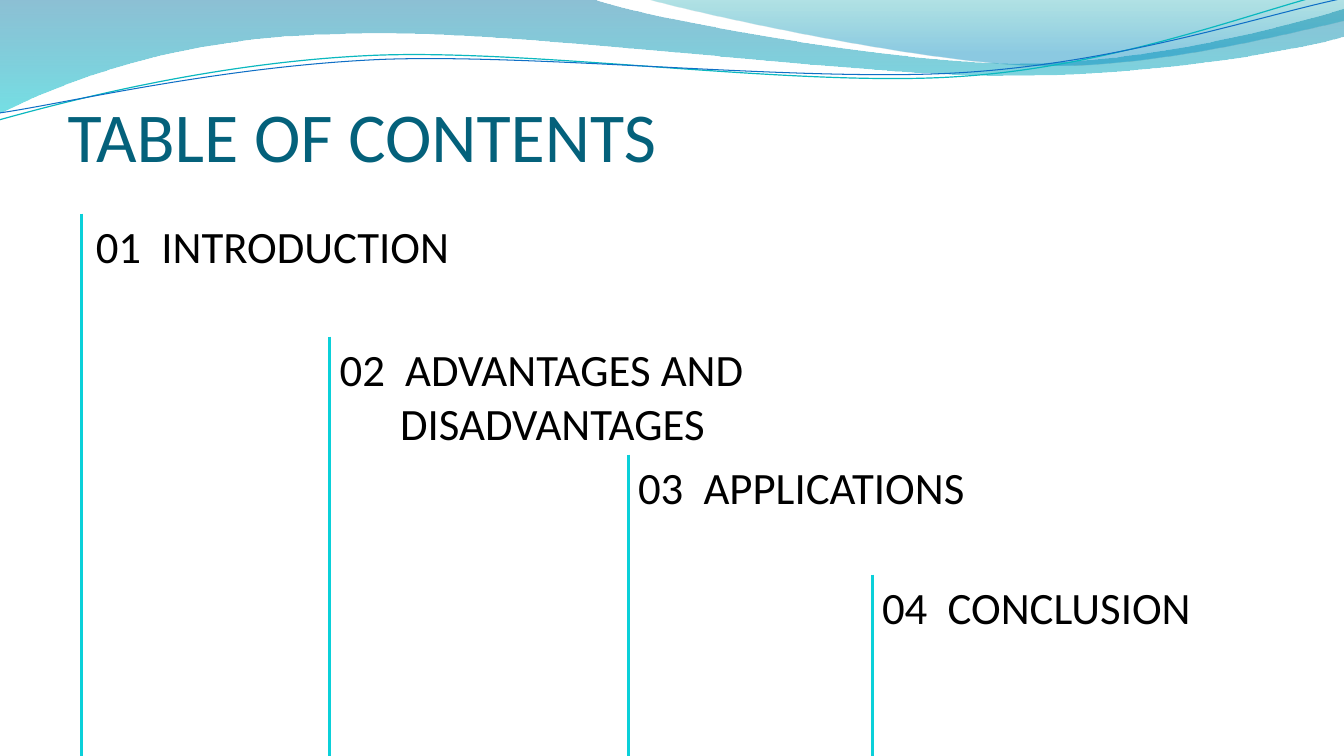
from math import cos, radians, sin

from lxml.etree import SubElement
from pptx import Presentation
from pptx.dml.color import RGBColor
from pptx.enum.shapes import MSO_CONNECTOR as Connector
from pptx.enum.text import MSO_ANCHOR as Anchor, MSO_AUTO_SIZE as AutoSize
from pptx.oxml.ns import qn
from pptx.util import Inches, Pt

COLUMNS, ROWS = 13.33, 7.5
COLORS = {
    "title": "04617B", "text": "000000", "rule": "0BD0D9",
    "deep": "0074A1", "aqua": "00C6CF", "teal": "00A1A9", "sky": "008BBF",
    "teal line": "0AB8BF", "blue line": "0F6FC6",
}
FONT = "Calibri"
NUMBER_TAB, SECOND_LINE_INDENT = 0.65, 0.6
STRAND_TILT = 2.7

# One point ends a straight segment; three are the rest of a Bézier curve.
BROAD_WAVE = [
    [(0, 0)], [(5.87, -0.01)],
    [(6.34, 0.17), (8.85, 0.63), (10.11, 0.63)],
    [(11.38, 0.63), (12.78, 0.26), (13.33, 0.09)],
    [(13.35, 0.36)],
    [(13.11, 0.44), (11.6, 0.76), (9.94, 0.75)],
    [(8.29, 0.75), (5.09, 0.28), (3.43, 0.34)],
    [(1.72, 0.36), (0.61, 0.83), (-0.01, 1.13)],
]
RIGHT_WAVE = [
    [(6.39, -0.01)],
    [(6.79, 0.11), (9.09, 0.62), (10.25, 0.65)],
    [(11.41, 0.69), (12.82, 0.32), (13.33, 0.21)],
    [(13.33, 0)],
]
TEAL_STRAND = [
    [(-0.01, 1.19)],
    [(0.64, 1.01), (2.11, 0.62), (3.69, 0.55)],
    [(5.27, 0.48), (7.9, 0.87), (9.5, 0.76)],
    [(11.1, 0.66), (12.52, 0.08), (13.31, -0.1)],
]
BLUE_STRAND = [
    [(0, 1.12)],
    [(0.63, 1.03), (2.18, 0.66), (3.78, 0.59)],
    [(5.37, 0.53), (7.96, 0.82), (9.55, 0.72)],
    [(11.15, 0.62), (12.55, 0.14), (13.34, -0.02)],
]
CONTENTS = [
    (0.81, 2.12, 0.14, ["01\tINTRODUCTION"]),
    (3.27, 3.34, 0.1, ["02\tADVANTAGES AND", "DISADVANTAGES"]),
    (6.23, 4.51, 0.1, ["03\tAPPLICATIONS"]),
    (8.65, 5.7, 0.1, ["04\tCONCLUSION"]),
]


def color(name):
    return RGBColor.from_string(COLORS[name])


def turn(outline, center, degrees):
    """Turn every point of an outline clockwise about a center."""
    (cx, cy), angle = center, radians(degrees)
    return [[(cx + (x - cx) * cos(angle) - (y - cy) * sin(angle),
              cy + (x - cx) * sin(angle) + (y - cy) * cos(angle))
             for x, y in segment] for segment in outline]


class SlideBuilder:
    """Draws on one page whose grid cells are an inch wide and high."""

    def __init__(self, deck):
        self.page = deck.slides.add_slide(deck.slide_layouts[6])

    def freeform(self, outline, close):
        """Join the segment ends, then bend the lines that have control points."""
        segments = [[(Inches(x), Inches(y)) for x, y in segment] for segment in outline]
        ends = [segment[-1] for segment in segments]
        builder = self.page.shapes.build_freeform(*ends[0])
        builder.add_line_segments(ends[1:], close=close)
        shape = builder.convert_to_shape()
        shape.shadow.inherit = False
        for line, segment in zip(shape._element.xpath(".//a:lnTo"), segments[1:]):
            if len(segment) == 3:
                line.tag = qn("a:cubicBezTo")
                for corner in list(line):
                    line.remove(corner)
                for x, y in segment:
                    SubElement(line, qn("a:pt"), x=str(x - shape.left), y=str(y - shape.top))
        return shape

    def wave(self, outline, stops):
        """Fill an outline downwards; a stop is (position, color, opacity %)."""
        shape = self.freeform(outline, close=True)
        shape.line.fill.background()
        shape.fill.gradient()
        shape.fill.gradient_angle = 270
        for stop, (position, name, _) in zip(shape.fill.gradient_stops, stops):
            stop.position = position
            stop.color.rgb = color(name)
        tints = shape._element.xpath(".//a:gs/a:srgbClr")
        for tint, (_, _, opacity) in zip(tints, stops):
            SubElement(tint, qn("a:alpha"), val=str(opacity * 1000))

    def strand(self, outline, center, name, width):
        shape = self.freeform(turn(outline, center, STRAND_TILT), close=False)
        shape.rotation = -STRAND_TILT
        shape.fill.background()
        shape.line.color.rgb = color(name)
        shape.line.width = Pt(width)

    def rule(self, column, top):
        """Draw a vertical line down to the slide's foot."""
        line = self.page.shapes.add_connector(
            Connector.STRAIGHT, Inches(column), Inches(top), Inches(column), Inches(ROWS))
        line.line.color.rgb = color("rule")
        line.line.width = Pt(2)
        SubElement(line._element.spPr, qn("a:effectLst"))

    def text(self, lines, left, top, width, height, size=32, name="text",
             insets=(0.1, 0.05, 0.1, 0.05), anchor=Anchor.TOP, fit=AutoSize.NONE):
        box = self.page.shapes.add_textbox(*map(Inches, (left, top, width, height)))
        frame = box.text_frame
        frame.word_wrap = True
        frame.auto_size = fit
        frame.vertical_anchor = anchor
        (frame.margin_left, frame.margin_top,
         frame.margin_right, frame.margin_bottom) = map(Inches, insets)
        for index, line in enumerate(lines):
            para = frame.add_paragraph() if index else frame.paragraphs[0]
            span = para.add_run()
            span.text = line
            span.font.name = FONT
            span.font.size = Pt(size)
            span.font.color.rgb = color(name)
            settings = para._p.get_or_add_pPr()
            if "\t" in line:
                tabs = SubElement(settings, qn("a:tabLst"))
                SubElement(tabs, qn("a:tab"), pos=str(Inches(NUMBER_TAB)), algn="l")
            elif index:
                settings.set("marL", str(Inches(SECOND_LINE_INDENT)))


def main():
    deck = Presentation()
    deck.slide_width, deck.slide_height = Inches(COLUMNS), Inches(ROWS)
    slide = SlideBuilder(deck)

    slide.wave(BROAD_WAVE, [(0, "deep", 45), (1, "aqua", 55)])
    slide.wave(RIGHT_WAVE, [(0, "teal", 30), (0.8, "sky", 45)])
    slide.strand(TEAL_STRAND, (6.65, 0.57), "teal line", 0.85)
    slide.strand(BLUE_STRAND, (6.67, 0.59), "blue line", 0.75)

    slide.text(["TABLE OF CONTENTS"], 0.67, 0.5, 12.11, 1.25, size=50, name="title",
               insets=(0, 0.05, 0, 0), anchor=Anchor.BOTTOM)
    for column, top, _, _ in CONTENTS:
        slide.rule(column, top)
    for column, top, inset, lines in CONTENTS:
        slide.text(lines, column, top, 13.26 - column, 0.1 + 0.54 * len(lines),
                   insets=(inset, 0.05, 0.1, 0.05), fit=AutoSize.SHAPE_TO_FIT_TEXT)

    deck.save("out.pptx")


if __name__ == "__main__":
    main()
